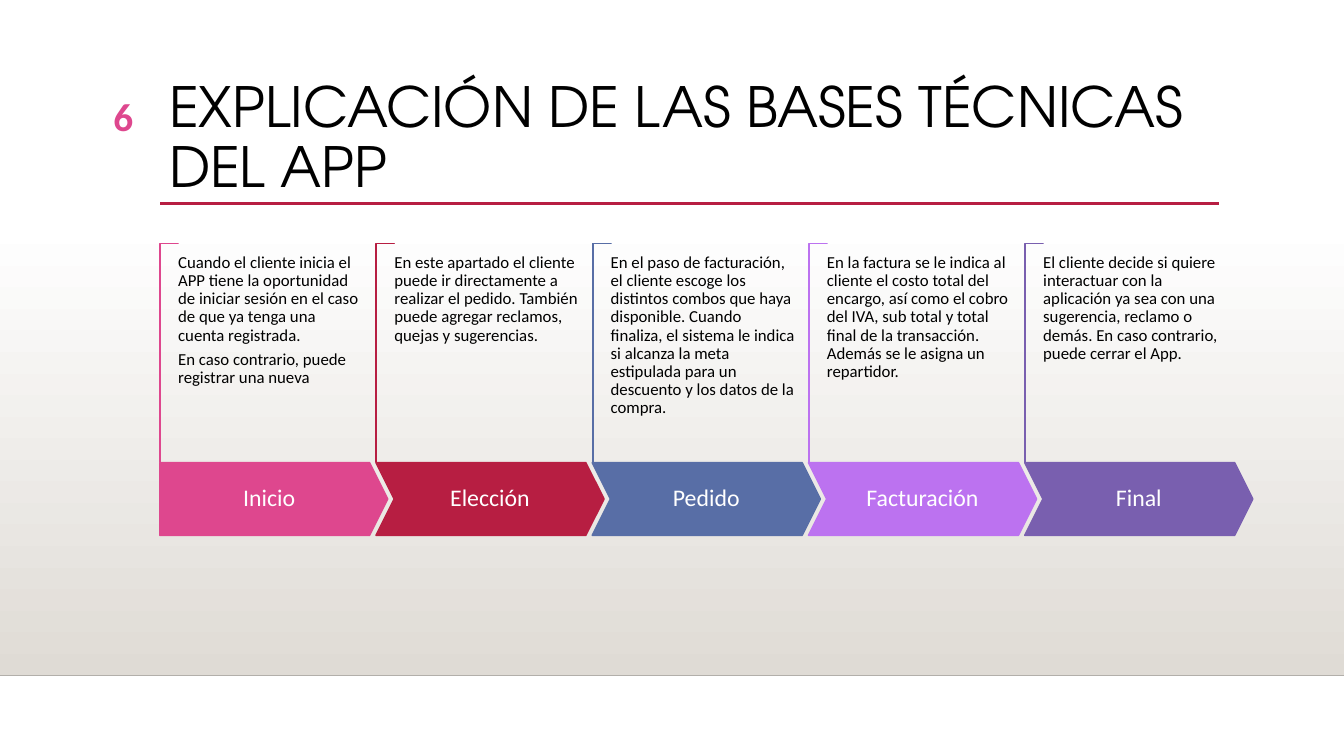
from dataclasses import dataclass

from lxml.etree import SubElement
from pptx import Presentation
from pptx.dml.color import RGBColor as RGB
from pptx.enum.shapes import MSO_CONNECTOR as LINK, MSO_SHAPE as SHAPE
from pptx.enum.text import MSO_ANCHOR as ANCHOR, PP_ALIGN as ALIGN
from pptx.oxml.ns import qn
from pptx.util import Cm, Pt


@dataclass(frozen=True)
class Theme:
    white: RGB = RGB.from_string("FFFFFF")
    black: RGB = RGB.from_string("000000")
    sand: RGB = RGB.from_string("DFDBD5")
    edge: RGB = RGB.from_string("B2AFAA")
    pink: RGB = RGB.from_string("DE478E")
    red: RGB = RGB.from_string("B71E42")
    blue: RGB = RGB.from_string("586EA6")
    lilac: RGB = RGB.from_string("BC72F0")
    purple: RGB = RGB.from_string("795FAF")
    head: str = "TeX Gyre Adventor"
    body: str = "Calibri"
    title: float = 39.6
    number: float = 28
    label: float = 17
    note: float = 12


theme = Theme()

steps = [
    ("Inicio", theme.pink,
     ["Cuando el cliente inicia el APP tiene la oportunidad de iniciar sesión "
      "en el caso de que ya tenga una cuenta registrada.",
      "En caso contrario, puede registrar una nueva"]),
    ("Elección", theme.red,
     ["En este apartado el cliente puede ir directamente a realizar el pedido. "
      "También puede agregar reclamos, quejas y sugerencias."]),
    ("Pedido", theme.blue,
     ["En el paso de facturación, el cliente escoge los distintos combos que "
      "haya disponible. Cuando finaliza, el sistema le indica si alcanza la "
      "meta estipulada para un descuento y los datos de la compra."]),
    ("Facturación", theme.lilac,
     ["En la factura se le indica al cliente el costo total del encargo, así "
      "como el cobro del IVA, sub total y total final de la transacción. "
      "Además se le asigna un repartidor."]),
    ("Final", theme.purple,
     ["El cliente decide si quiere interactuar con la aplicación ya sea con "
      "una sugerencia, reclamo o demás. En caso contrario, puede cerrar el App."]),
]

deck = Presentation()
deck.slide_width, deck.slide_height = Cm(33.87), Cm(19.05)
slide = deck.slides.add_slide(deck.slide_layouts[6])
shapes = slide.shapes


def write(shape, lines, size, color, font=theme.body, align=ALIGN.LEFT, pad=0.0):
    """Fill a shape with paragraphs that share one style; pad is in cm."""
    frame = shape.text_frame
    frame.word_wrap = True
    frame.margin_left = frame.margin_right = Cm(pad)
    frame.margin_top = frame.margin_bottom = Cm(pad / 2)
    frame.text = "\n".join(lines)
    for par in frame.paragraphs:
        par.alignment = align
        par.line_spacing = 0.9
        par.space_after = Pt(4.2)
        par.font.name, par.font.size = font, Pt(size)
        par.font.color.rgb = color
    return frame


# Backdrop
floor = shapes.add_shape(SHAPE.RECTANGLE, 0, Cm(5.61), deck.slide_width, Cm(11.41))
floor.shadow.inherit = False
floor.line.fill.background()
floor.fill.gradient()
floor.fill.gradient_angle = 270
for stop, color in zip(floor.fill.gradient_stops, (theme.white, theme.sand)):
    stop.color.rgb = color

for left, right, top, color, width in (
    (0, 33.87, 17.02, theme.edge, 1),
    (4.04, 30.73, 5.13, theme.red, 2.5),
):
    rule = shapes.add_connector(LINK.STRAIGHT, Cm(left), Cm(top), Cm(right), Cm(top))
    rule.line.color.rgb = color
    rule.line.width = Pt(width)
    SubElement(rule.element.spPr, qn("a:effectLst"))

# Heading
title = shapes.add_textbox(Cm(4.01), Cm(1.88), Cm(26.67), Cm(2.92))
write(title, ["EXPLICACIÓN DE LAS BASES TÉCNICAS DEL APP"],
      theme.title, theme.black, font=theme.head, pad=0.25)

number = shapes.add_textbox(Cm(1.35), Cm(2.21), Cm(2.26), Cm(1.4))
frame = write(number, ["6"], theme.number, theme.pink, align=ALIGN.RIGHT, pad=0.25)
frame.paragraphs[0].font.bold = True
frame.paragraphs[0].line_spacing = 1.0

# Steps
start, pitch = 4.03, 5.45
tall, thin = 5.51, 0.46
for i, (name, color, notes) in enumerate(steps):
    left = start + i * pitch

    # A quarter turn about the centre stands the corner upright at the left edge
    bar = shapes.add_shape(SHAPE.CORNER, Cm(left - (tall - thin) / 2), Cm(8.66),
                           Cm(tall), Cm(thin))
    bar.rotation = 90
    bar.adjustments[0] = bar.adjustments[1] = 0.01

    kind = SHAPE.CHEVRON if i else SHAPE.PENTAGON
    arrow = shapes.add_shape(kind, Cm(left), Cm(11.66), Cm(5.74), Cm(1.83))
    arrow.adjustments[0] = 0.25

    for part, fill in ((bar, theme.white), (arrow, color)):
        part.shadow.inherit = False
        part.fill.solid()
        part.fill.fore_color.rgb = fill
        part.line.color.rgb = color
        part.line.width = Pt(1.25)

    frame = write(arrow, [name], theme.label, theme.white, align=ALIGN.CENTER)
    frame.vertical_anchor = ANCHOR.MIDDLE

    note = shapes.add_textbox(Cm(left + thin), Cm(6.4), Cm(4.65), Cm(3.94))
    write(note, notes, theme.note, theme.black)

deck.save("out.pptx")
